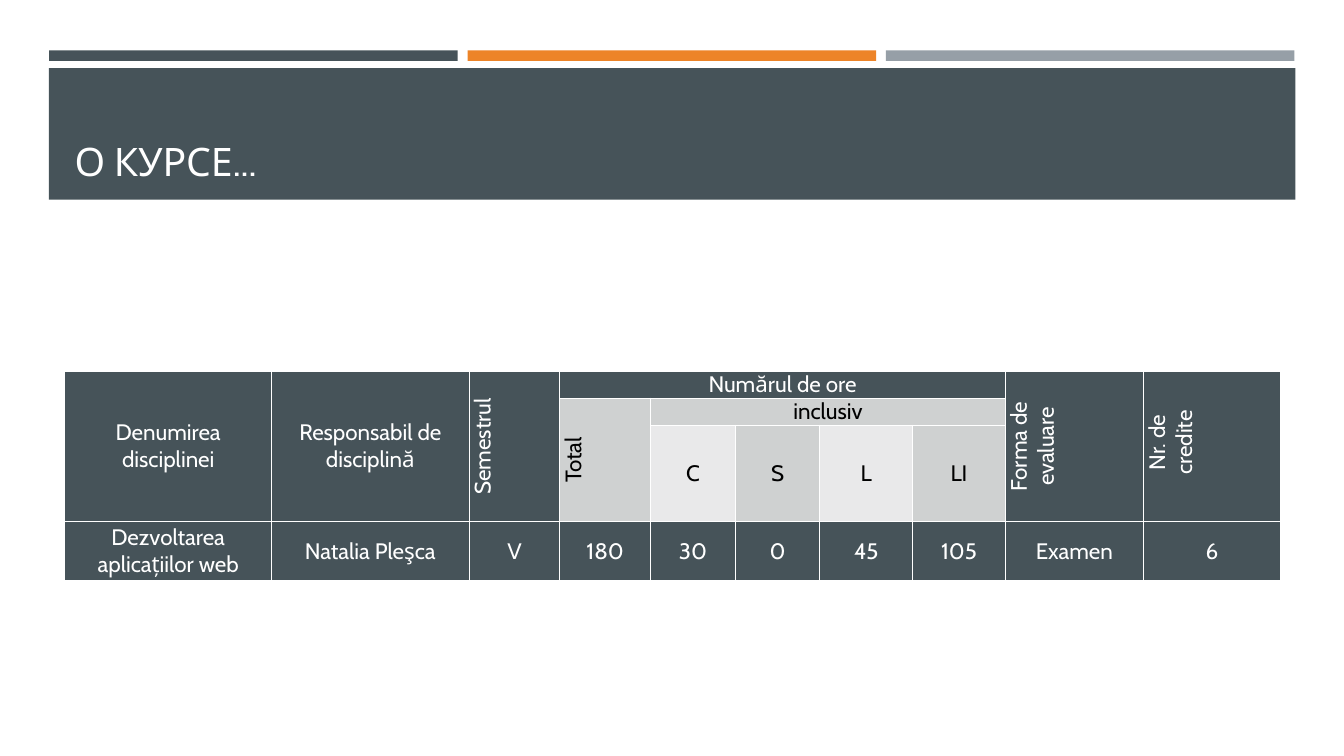
from pptx import Presentation
from pptx.dml.color import RGBColor
from pptx.enum.shapes import MSO_SHAPE as Shape
from pptx.enum.text import MSO_ANCHOR as Anchor, PP_ALIGN as Align
from pptx.oxml import parse_xml
from pptx.oxml.ns import nsdecls
from pptx.util import Emu, Inches, Pt

SLATE, ORANGE, GREY = "465359", "ED8428", "969FA7"
MID, PALE, WHITE, BLACK = "CFD1D1", "E9E9EA", "FFFFFF", "000000"


def color(code):
    return RGBColor.from_string(code)


class CourseSlide:
    """Style and current slide; lengths are percentages of the slide's size."""
    font = "Cabin"
    title_size, cell_size = Pt(28), Pt(16)

    def __init__(self, deck):
        self.deck = deck
        self.page = deck.slides.add_slide(deck.slide_layouts[5])

    def across(self, share):
        return Emu(round(self.deck.slide_width * share / 100))

    def down(self, share):
        return Emu(round(self.deck.slide_height * share / 100))

    def frame(self, left, top, width, height):
        return (self.across(left), self.down(top),
                self.across(width), self.down(height))

    def style(self, para, size, code):
        para.font.name, para.font.size = self.font, size
        para.font.color.rgb = color(code)

    def bar(self, place, code):
        box = self.page.shapes.add_shape(Shape.RECTANGLE, *self.frame(*place))
        box.shadow.inherit = False
        box.fill.solid()
        box.fill.fore_color.rgb = color(code)
        box.line.fill.background()

    def title(self, place, text):
        box = self.page.shapes.title
        box.left, box.top, box.width, box.height = self.frame(*place)
        box.text_frame.text = text
        box.text_frame.vertical_anchor = Anchor.BOTTOM
        para = box.text_frame.paragraphs[0]
        para.alignment = Align.LEFT
        self.style(para, self.title_size, WHITE)
        # Bring the title in front of the banner
        box.element.getparent().append(box.element)

    def table(self, left, top, widths, heights):
        place = self.frame(left, top, sum(widths), sum(heights))
        grid = self.page.shapes.add_table(len(heights), len(widths), *place).table
        for column, width in zip(grid.columns, widths):
            column.width = self.across(width)
        for row, height in zip(grid.rows, heights):
            row.height = self.down(height)
        for cell in grid.iter_cells():
            self.border(cell)
            self.paint(cell, SLATE)
        return grid

    def border(self, cell):
        properties = cell._tc.get_or_add_tcPr()
        for side in ("lnL", "lnR", "lnT", "lnB"):
            properties.append(parse_xml(
                f'<a:{side} {nsdecls("a")} w="{Pt(1)}"><a:solidFill>'
                f'<a:srgbClr val="{WHITE}"/></a:solidFill></a:{side}>'))

    def paint(self, cell, code):
        cell.fill.solid()
        cell.fill.fore_color.rgb = color(code)

    def cell(self, grid, row, column, text, rows=1, columns=1, fill=SLATE,
             anchor=Anchor.MIDDLE, upright=False, indent=0):
        cell = grid.cell(row, column)
        if rows * columns > 1:
            cell.merge(grid.cell(row + rows - 1, column + columns - 1))
        self.paint(cell, fill)
        cell.margin_left = cell.margin_right = Inches(0.07)
        cell.margin_top = cell.margin_bottom = 0
        cell.vertical_anchor = anchor
        if upright:
            cell._tc.get_or_add_tcPr().set("vert", "vert270")
        cell.text = text
        for para in cell.text_frame.paragraphs:
            para.alignment = Align.CENTER
            self.style(para, self.cell_size, WHITE if fill == SLATE else BLACK)
            if indent:
                para._p.get_or_add_pPr().set("marL", str(Inches(indent)))


def main():
    deck = Presentation()
    deck.slide_width, deck.slide_height = Inches(13.33), Inches(7.5)
    slide = CourseSlide(deck)

    # Three accent bars and the title banner
    for index, code in enumerate((SLATE, ORANGE, GREY)):
        slide.bar((3.66 + 31.13 * index, 6.67, 30.4, 1.4), code)
    slide.bar((3.64, 9, 92.75, 17.4), SLATE)
    slide.title((4.8, 10.27, 90.47, 14.8), "О КУРСЕ...")

    # Course table
    widths = (15.38, 14.7, 6.75, 6.75, 6.3, 6.3, 6.9, 6.9, 10.28, 10.2)
    grid = slide.table(4.83, 49.07, widths, (3.6, 3.6, 12.7, 7.75))

    # Tall headings
    slide.cell(grid, 0, 0, "Denumirea disciplinei", rows=3)
    slide.cell(grid, 0, 1, "Responsabil de disciplină", rows=3)
    slide.cell(grid, 0, 2, "Semestrul", rows=3, upright=True)
    slide.cell(grid, 0, 8, "Forma de\nevaluare", rows=3, upright=True)
    slide.cell(grid, 0, 9, "Nr. de\ncredite", rows=3, upright=True, indent=0.08)

    # Headings for the hours
    slide.cell(grid, 0, 3, "Numărul de ore", columns=5)
    slide.cell(grid, 1, 3, "Total", rows=2, fill=MID, anchor=Anchor.TOP, upright=True)
    slide.cell(grid, 1, 4, "inclusiv", columns=4, fill=MID, anchor=Anchor.TOP)
    for index, kind in enumerate(("C", "S", "L", "LI")):
        slide.cell(grid, 2, 4 + index, kind, fill=MID if index % 2 else PALE)

    # Course details
    details = ("Dezvoltarea aplicațiilor web", "Natalia Pleşca", "V", "180",
               "30", "0", "45", "105", "Examen", "6")
    for column, text in enumerate(details):
        slide.cell(grid, 3, column, text)

    deck.save("out.pptx")


if __name__ == "__main__":
    main()
